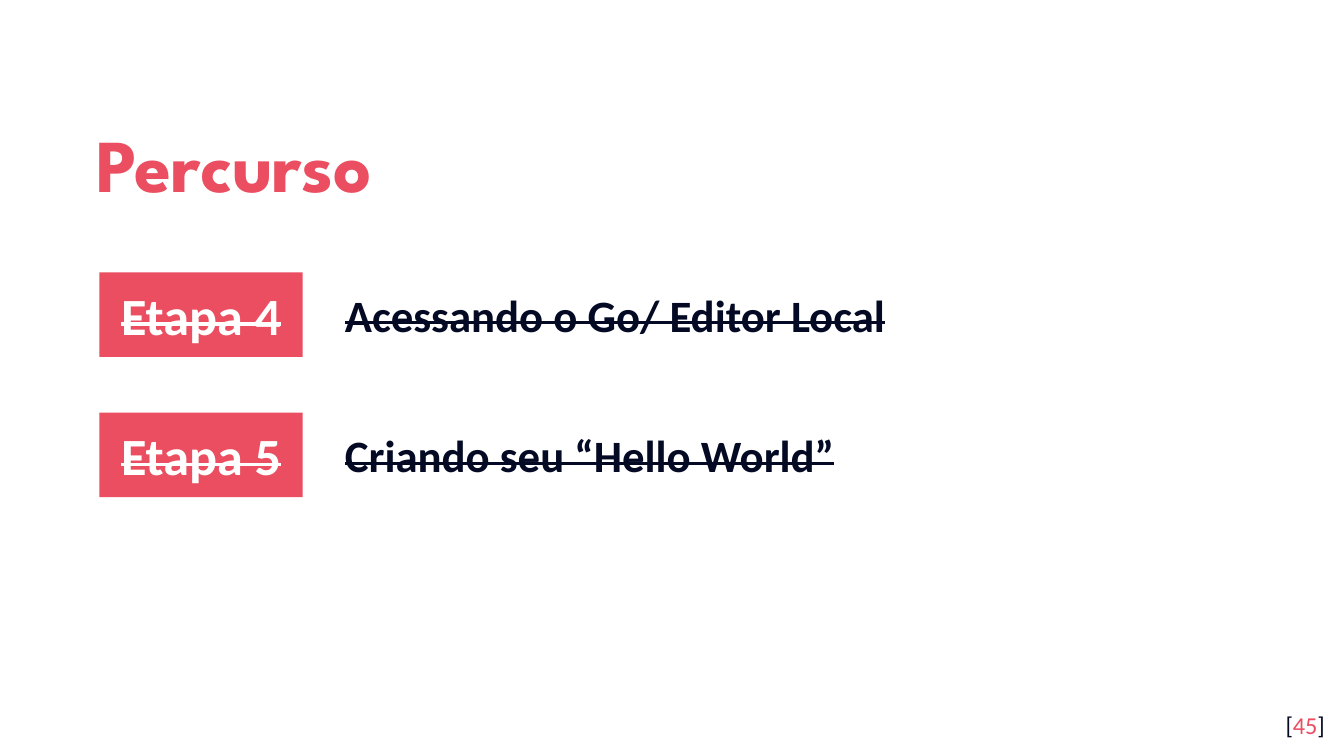
import pptx
import pptx.dml.color
import pptx.enum.shapes
import pptx.enum.text
import pptx.util

Cm = pptx.util.Cm
ALIGN = pptx.enum.text.PP_ALIGN
ANCHOR = pptx.enum.text.MSO_ANCHOR

COLORS = {"accent": "EA4E60", "dark": "040A24", "white": "FFFFFF"}
STEPS = [
    ("Etapa 4", "Acessando o Go/ Editor Local"),
    ("Etapa 5", "Criando seu “Hello World”"),
]
FIRST_STEP_TOP = 5.15
STEP_PITCH = 2.65


class SlideBuilder:
    """Holds the style and the slide being filled."""

    body_font = "Calibri"
    title_font = "League Spartan"
    inset = 0.25

    def __init__(self, presentation):
        self.slide = presentation.slides.add_slide(presentation.slide_layouts[5])

    def color(self, name):
        return pptx.dml.color.RGBColor.from_string(COLORS[name])

    def frame(self, shape, alignment, anchor, vertical_inset=inset):
        """Set up the text frame and return its first paragraph."""
        settings = {
            "word_wrap": True,
            "auto_size": pptx.enum.text.MSO_AUTO_SIZE.NONE,
            "vertical_anchor": anchor,
            "margin_left": Cm(self.inset),
            "margin_right": Cm(self.inset),
            "margin_top": Cm(vertical_inset),
            "margin_bottom": Cm(vertical_inset),
        }
        for name, value in settings.items():
            setattr(shape.text_frame, name, value)
        paragraph = shape.text_frame.paragraphs[0]
        paragraph.alignment = alignment
        return paragraph

    def run(self, paragraph, text, size, color, bold=True, strike=False, font=body_font):
        run = paragraph.add_run()
        run.text = text
        settings = {"name": font, "size": pptx.util.Pt(size), "bold": bold}
        for name, value in settings.items():
            setattr(run.font, name, value)
        run.font.color.rgb = self.color(color)
        if strike:
            run._r.get_or_add_rPr().set("strike", "sngStrike")

    def textbox(self, left, top, width, height):
        return self.slide.shapes.add_textbox(Cm(left), Cm(top), Cm(width), Cm(height))

    def title(self, text):
        title = self.slide.shapes.title
        position = {"left": 1.57, "top": 1.78, "width": 20.57, "height": 2.34}
        for name, value in position.items():
            setattr(title, name, Cm(value))
        paragraph = self.frame(title, ALIGN.LEFT, ANCHOR.MIDDLE)
        paragraph.line_spacing = 1.15
        self.run(paragraph, text, 40, "accent", font=self.title_font)

    def step_label(self, text, top):
        label = self.slide.shapes.add_shape(
            pptx.enum.shapes.MSO_SHAPE.RECTANGLE, Cm(1.88), Cm(top), Cm(3.84), Cm(1.6))
        label.shadow.inherit = False
        label.fill.solid()
        label.fill.fore_color.rgb = self.color("accent")
        label.line.fill.background()
        paragraph = self.frame(label, ALIGN.CENTER, ANCHOR.MIDDLE)
        self.run(paragraph, text, 28, "white", strike=True)

    def step_text(self, text, top):
        box = self.textbox(6.27, top, 17.15, 1.27)
        paragraph = self.frame(box, ALIGN.LEFT, ANCHOR.TOP, vertical_inset=0.13)
        hanging = Cm(1.27)
        properties = paragraph._p.get_or_add_pPr()
        properties.set("marL", str(hanging))
        properties.set("indent", str(-hanging))
        self.run(paragraph, text, 24, "dark", strike=True)

    def page_number(self, number):
        box = self.textbox(23.77, 13.18, 1.52, 1.09)
        paragraph = self.frame(box, ALIGN.RIGHT, ANCHOR.TOP)
        for text, color in (("[", "dark"), (number, "accent"), ("]", "dark")):
            self.run(paragraph, text, 13, color, bold=False)


def main():
    presentation = pptx.Presentation()
    presentation.slide_width = Cm(25.4)
    presentation.slide_height = Cm(14.29)

    builder = SlideBuilder(presentation)
    builder.title("Percurso")
    for index, (label, text) in enumerate(STEPS):
        top = FIRST_STEP_TOP + index * STEP_PITCH
        builder.step_label(label, top)
        builder.step_text(text, top + 0.16)
    builder.page_number("45")

    presentation.save("out.pptx")


if __name__ == "__main__":
    main()
